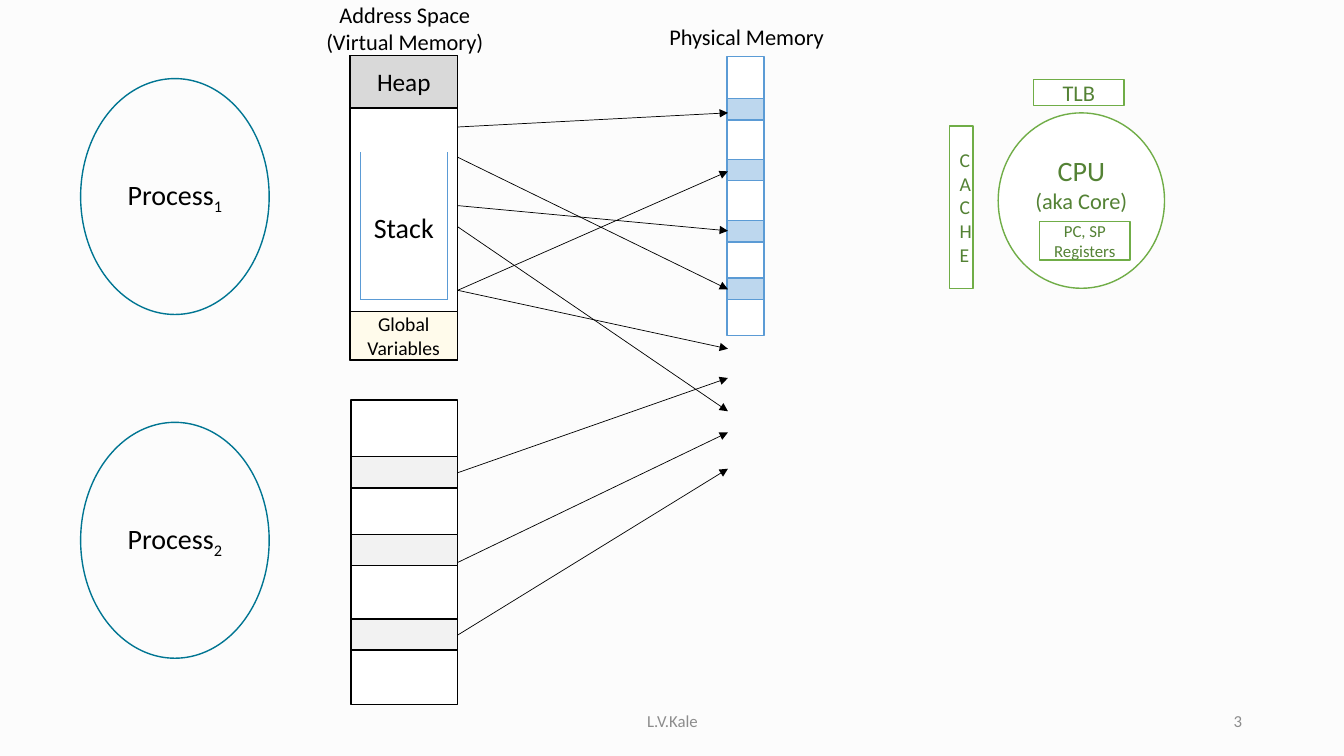
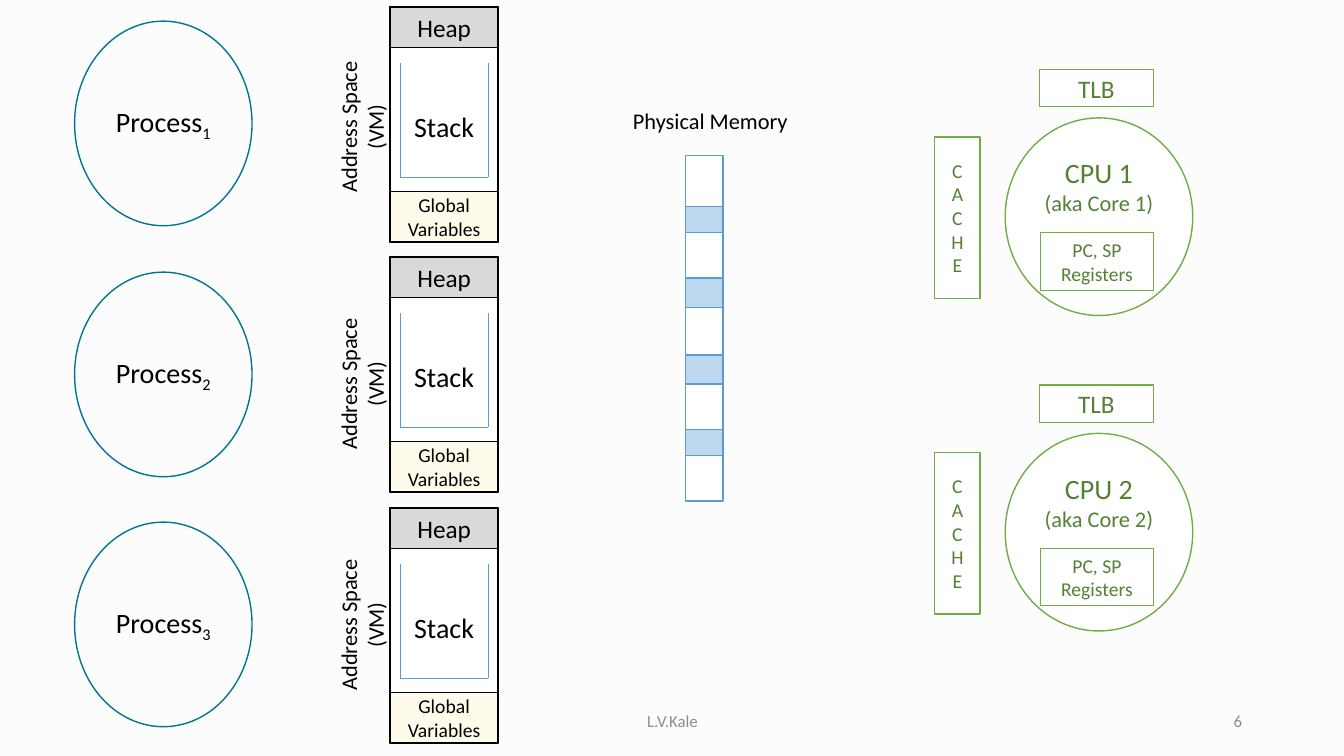
import copy

import lxml.etree
import pptx
import pptx.dml.color
import pptx.enum.shapes
import pptx.enum.text
import pptx.oxml.ns
import pptx.util

RGB = pptx.dml.color.RGBColor
SHAPE = pptx.enum.shapes.MSO_SHAPE
ANCHOR = pptx.enum.text.MSO_ANCHOR
ALIGN = pptx.enum.text.PP_ALIGN
PLACEHOLDER = pptx.enum.shapes.PP_PLACEHOLDER

PX = 9144  # 100 px to the inch
FONT = "Calibri"
PAPER = RGB(0xFC, 0xFC, 0xFC)
WHITE = RGB(0xFF, 0xFF, 0xFF)
BLACK = RGB(0x00, 0x00, 0x00)
FOOTER_GRAY = RGB(0x8C, 0x8C, 0x8C)
PAGE_GRAY = RGB(0xF2, 0xF2, 0xF2)
HEAP_GRAY = RGB(0xD9, 0xD9, 0xD9)
GLOBALS_CREAM = RGB(0xFF, 0xFB, 0xEB)
TEAL = RGB(0x00, 0x75, 0x92)
BLUE = RGB(0x5B, 0x9B, 0xD5)
LIGHT_BLUE = RGB(0xBD, 0xD7, 0xEE)
GREEN = RGB(0x70, 0xAD, 0x47)
DARK_GREEN = RGB(0x54, 0x82, 0x35)


def add_box(shapes, kind, box, lines=(), fill=None, line=None, color=BLACK, subscript=""):
    """Add a preset shape, or a text box if kind is None; lines are (text, size) pairs."""
    left, top, width, height = [value * PX for value in box]
    if kind is None:
        shape = shapes.add_textbox(left, top, width, height)
    else:
        shape = shapes.add_shape(kind, left, top, width, height)
        shape.shadow.inherit = False
        shape.line.color.rgb = line
        shape.line.width = pptx.util.Pt(1)
        shape.text_frame.vertical_anchor = ANCHOR.MIDDLE
        if fill is None:
            shape.fill.background()
        else:
            shape.fill.solid()
            shape.fill.fore_color.rgb = fill
    frame = shape.text_frame
    frame.word_wrap = True
    for index, (text, size) in enumerate(lines):
        paragraph = frame.add_paragraph() if index else frame.paragraphs[0]
        paragraph.alignment = ALIGN.CENTER
        for part in filter(None, (text, subscript)):
            run = paragraph.add_run()
            run.text = part
            run.font.name = FONT
            run.font.size = pptx.util.Pt(size)
            run.font.color.rgb = color
            if part == subscript:
                run.font._element.set("baseline", "-25000")
    return shape


def add_line(shapes, start, end, color, arrow=False):
    points = [value * PX for value in (*start, *end)]
    connector = shapes.add_connector(pptx.enum.shapes.MSO_CONNECTOR.STRAIGHT, *points)
    connector.line.color.rgb = color
    connector.line.width = pptx.util.Pt(0.5)
    if arrow:
        tail = lxml.etree.SubElement(connector.line._get_or_add_ln(), pptx.oxml.ns.qn("a:tailEnd"))
        tail.set("type", "triangle")
    lxml.etree.SubElement(connector.element.spPr, pptx.oxml.ns.qn("a:effectLst"))


presentation = pptx.Presentation()
presentation.slide_width = 1333 * PX
presentation.slide_height = 750 * PX
background = presentation.slide_master.background.fill
background.solid()
background.fore_color.rgb = PAPER

# Footer and slide number
layout = presentation.slide_layouts[6]
slides = []
for number in ("3", "6"):
    slide = presentation.slides.add_slide(layout)
    slides.append(slide)
    footers = {
        PLACEHOLDER.FOOTER: ("L.V.Kale", 442, 450, ALIGN.CENTER),
        PLACEHOLDER.SLIDE_NUMBER: (number, 942, 300, ALIGN.RIGHT),
    }
    for source in layout.placeholders:
        if source.placeholder_format.type not in footers:
            continue
        text, left, width, alignment = footers[source.placeholder_format.type]
        slide.shapes._spTree.append(copy.deepcopy(source.element))
        footer = slide.shapes[-1]
        footer.left, footer.top = left * PX, 695 * PX
        footer.width, footer.height = width * PX, 40 * PX
        frame = footer.text_frame
        frame.clear()
        frame.vertical_anchor = ANCHOR.MIDDLE
        paragraph = frame.paragraphs[0]
        paragraph.alignment = alignment
        run = paragraph.add_run()
        run.text = text
        run.font.name = FONT
        run.font.size = pptx.util.Pt(12)
        run.font.color.rgb = FOOTER_GRAY
mapping_slide, cores_slide = slides

# Processes
processes = [
    (mapping_slide, "1", (80, 78, 187, 234)),
    (mapping_slide, "2", (80, 419, 187, 234)),
    (cores_slide, "1", (74, 21, 176, 203)),
    (cores_slide, "2", (74, 270, 176, 203)),
    (cores_slide, "3", (74, 518, 176, 203)),
]
for slide, number, box in processes:
    add_box(slide.shapes, SHAPE.OVAL, box, [("Process", 20)], line=TEAL, subscript=number)

# Captions
add_box(mapping_slide.shapes, None, (304, -4, 195, 64),
        [("Address Space", 16), ("(Virtual Memory)", 16)])
for top in (94, 349, 588):
    caption = add_box(cores_slide.shapes, None, (257, top, 204, 64),
                      [("Address Space", 16), ("(VM)", 16)])
    caption.rotation = 270
for slide, box in ((mapping_slide, (641, 18, 199, 37)), (cores_slide, (612, 101, 185, 37))):
    add_box(slide.shapes, None, box, [("Physical Memory", 16)])

# Memories divided into pages; each page is (offset, height)
memories = [
    (mapping_slide, (721, 56, 37, 277), LIGHT_BLUE, BLUE,
     [(42, 21), (102, 21), (163, 21), (220, 21)]),
    (mapping_slide, (348, 397, 106, 302), PAGE_GRAY, BLACK,
     [(56, 31), (133, 31), (217, 31)]),
    (cores_slide, (680, 154, 37, 343), LIGHT_BLUE, BLUE,
     [(51, 26), (122, 29), (198, 29), (272, 26)]),
]
for slide, box, page_fill, line, pages in memories:
    group = slide.shapes.add_group_shape().shapes
    add_box(group, SHAPE.RECTANGLE, box, fill=WHITE, line=line)
    left, top, width, height = box
    for offset, page_height in pages:
        add_box(group, SHAPE.RECTANGLE, (left, top + offset, width, page_height),
                fill=page_fill, line=line)

# Address spaces: height, heap height, globals height, stack span, stack label offset and height
large = (302, 52, 48, (96, 242), (149, 44))
small = (233, 40, 50, (56, 169), (97, 34))
address_spaces = [(mapping_slide, 347, 55, large)]
address_spaces += [(cores_slide, 387, top, small) for top in (7, 255, 504)]
for slide, left, top, sizes in address_spaces:
    height, heap_height, globals_height, stack_span, (label_offset, label_height) = sizes
    group = slide.shapes.add_group_shape().shapes
    add_box(group, SHAPE.RECTANGLE, (left, top, 107, height), fill=WHITE, line=BLACK)
    add_box(group, SHAPE.RECTANGLE, (left, top + height - globals_height, 107, globals_height),
            [("Global Variables", 14)], GLOBALS_CREAM, BLACK)
    add_box(group, SHAPE.RECTANGLE, (left, top, 107, heap_height),
            [("Heap", 18)], HEAP_GRAY, BLACK)
    stack_left, stack_right = left + 10, left + 97
    stack_top, stack_bottom = [top + offset for offset in stack_span]
    corners = [(stack_left, stack_top), (stack_left, stack_bottom),
               (stack_right, stack_bottom), (stack_right, stack_top)]
    for start, end in zip(corners, corners[1:]):
        add_line(group, start, end, BLUE)
    add_box(group, None, (stack_left, top + label_offset, 87, label_height), [("Stack", 20)])

# Cores: part boxes have tops relative to the CPU
small_parts = [((1025, -33, 90, 26), ["TLB"], 16),
               ((1031, 108, 90, 38), ["PC, SP", "Registers"], 12),
               ((942, 13, 23, 161), ["CACHE"], 14)]
large_parts = [((1031, -48, 113, 37), ["TLB"], 18),
               ((1032, 114, 112, 57), ["PC, SP", "Registers"], 14),
               ((927, 19, 45, 160), ["CACHE"], 14)]
cores = [
    (mapping_slide, "", (990, 112, 165, 174), 39, small_parts),
    (cores_slide, " 1", (997, 117, 186, 196), 66, large_parts),
    (cores_slide, " 2", (997, 430, 186, 196), 66, large_parts),
]
for slide, suffix, cpu_box, bottom_margin, parts in cores:
    cpu = add_box(slide.shapes, SHAPE.OVAL, cpu_box,
                  [("CPU" + suffix, 20), (f"(aka Core{suffix})", 16)], WHITE, GREEN, DARK_GREEN)
    cpu.text_frame.margin_bottom = bottom_margin * PX
    for (left, offset, width, height), texts, size in parts:
        part = add_box(slide.shapes, SHAPE.RECTANGLE, (left, cpu_box[1] + offset, width, height),
                       [(text, size) for text in texts], WHITE, GREEN, DARK_GREEN)
        if texts == ["CACHE"]:
            part.text_frame._txBody.bodyPr.set("vert", "wordArtVert")

# Page mappings from virtual to physical memory
mappings = [
    (126, 112), (288, 170), (204, 229), (225, 408), (288, 346),
    (156, 287), (469, 375), (558, 429), (630, 465),
]
for virtual_y, physical_y in mappings:
    add_line(mapping_slide.shapes, (454, virtual_y), (722, physical_y), BLACK, arrow=True)

presentation.save("out.pptx")
